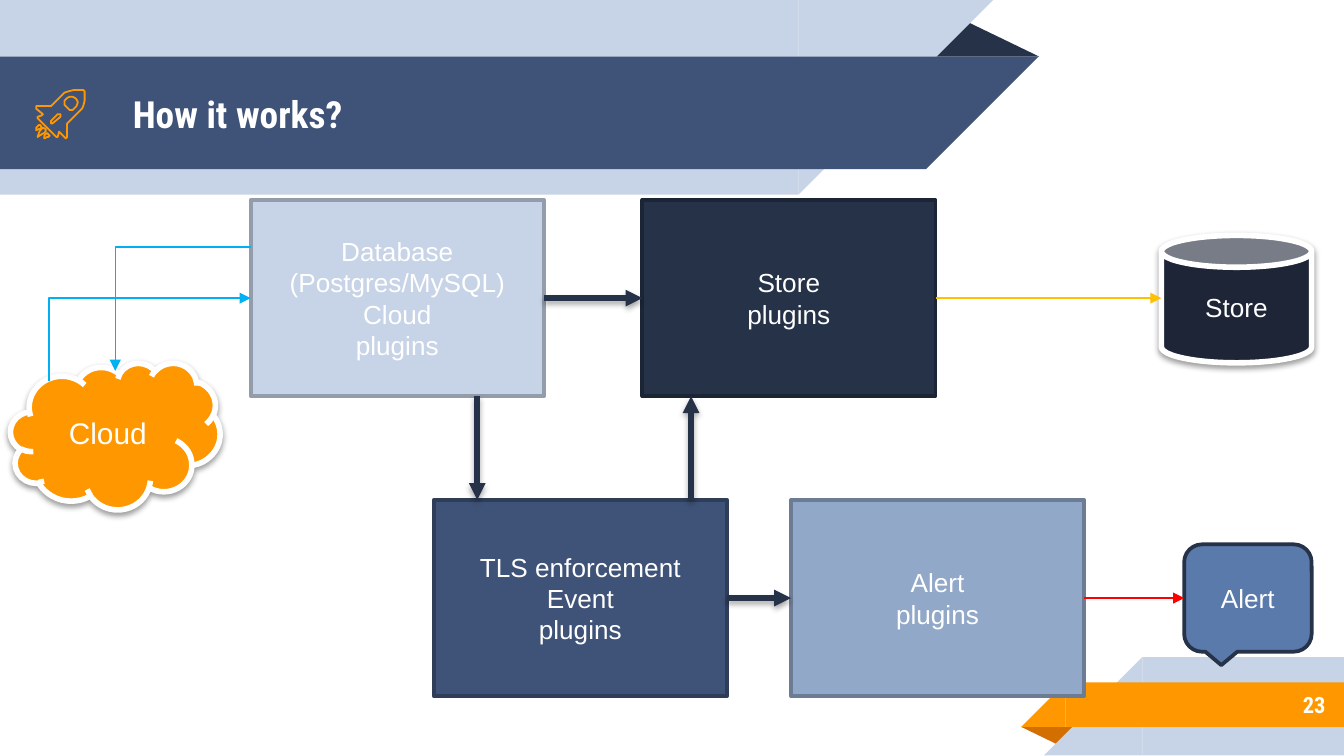
"""Build the "How it works?" plugin flow slide."""
from dataclasses import dataclass

from lxml import etree
from pptx import Presentation
from pptx.dml.color import RGBColor
from pptx.enum.shapes import MSO_CONNECTOR, MSO_SHAPE
from pptx.enum.text import MSO_ANCHOR, PP_ALIGN
from pptx.oxml.ns import qn
from pptx.util import Cm, Pt

RECTANGLE = MSO_SHAPE.RECTANGLE
CORNER = MSO_SHAPE.RIGHT_TRIANGLE
TRIANGLE = MSO_SHAPE.ISOSCELES_TRIANGLE
CLOUD = MSO_SHAPE.CLOUD
CAN = MSO_SHAPE.CAN
CALLOUT = MSO_SHAPE.ROUNDED_RECTANGULAR_CALLOUT
STRAIGHT = MSO_CONNECTOR.STRAIGHT
ELBOW = MSO_CONNECTOR.ELBOW
MIDDLE = MSO_ANCHOR.MIDDLE
LEFT, CENTER, RIGHT = PP_ALIGN.LEFT, PP_ALIGN.CENTER, PP_ALIGN.RIGHT
LEFT_SIDE, RIGHT_SIDE = 1, 3


@dataclass(frozen=True)
class Theme:
    """Colours, fonts and type sizes of the slide."""
    white: str = "FFFFFF"
    pale: str = "C7D3E6"
    pale_edge: str = "939CAA"
    mist: str = "92A8C8"
    mist_edge: str = "6C7C94"
    blue: str = "597AAB"
    navy: str = "3F5378"
    navy_edge: str = "2F3D59"
    dark: str = "263248"
    dark_edge: str = "1C2535"
    ink: str = "1D2536"
    orange: str = "FF9800"
    rust: str = "D26F00"
    sky: str = "00B0F0"
    gold: str = "FFC000"
    red: str = "FF0000"
    black: str = "000000"
    heading_font: str = "Roboto Condensed"
    body_font: str = "Arial"
    title_size: int = 20
    cloud_size: int = 16
    body_size: int = 14
    number_size: int = 12


THEME = Theme()
BOX_WIDTH, BOX_HEIGHT = 5.54, 3.71
TOP_ROW, BOTTOM_ROW = 3.78, 9.45
ICON_UNIT = Cm(2.54) / 100
ROCKET = [
    [(50, 102), (50, 92), (61, 81), (62, 79), (63, 75), (63, 68), (62, 67),
     (55, 67), (51, 68), (48, 69), (38, 79), (27, 79), (27, 81), (32, 85),
     (31, 86), (28, 87), (28, 88), (42, 102), (43, 102), (44, 98), (49, 103)],
    [(39, 92), (38, 92), (38, 90), (43, 85), (45, 85), (45, 87)],
    [(54, 82), (52, 82), (48, 78), (48, 75), (50, 73), (52, 72), (54, 72),
     (56, 73), (57, 74), (58, 76), (57, 79)],
]
FLAMES = [
    [(34, 96), (32, 95), (31, 96), (30, 97), (29, 99), (28, 102), (31, 100),
     (33, 99), (34, 98)],
    [(36, 100), (35, 99), (34, 100), (33, 101), (33, 103), (35, 102),
     (36, 102), (37, 101)],
    [(30, 93), (29, 93), (28, 94), (27, 95), (27, 97), (29, 96), (30, 96),
     (31, 95)],
]


def apply_format(target, values):
    """Set each named attribute on the target."""
    for name, value in values.items():
        setattr(target, name, value)


def paint(fill, color):
    """Give a fill one solid colour."""
    fill.solid()
    fill.fore_color.rgb = RGBColor.from_string(color)


def draw_line(line, color, width):
    """Give a line its colour and its width in points."""
    paint(line.fill, color)
    line.width = Pt(width)


def add_shadow(effects, opacity, distance):
    """Add a soft downward shadow to an effect list."""
    shadow = etree.SubElement(effects, qn("a:outerShdw"), blurRad="40000", dist=str(distance),
                              dir="5400000", rotWithShape="0")
    color = etree.SubElement(shadow, qn("a:srgbClr"), val=THEME.black)
    etree.SubElement(color, qn("a:alpha"), val=str(opacity * 1000))


def write_text(shape, lines, size, alignment=CENTER, font=THEME.body_font, bold=False):
    """Write white paragraphs, vertically centred, into a shape."""
    frame = shape.text_frame
    apply_format(frame, {"word_wrap": True, "vertical_anchor": MIDDLE})
    frame.text = "\n".join(lines)
    for paragraph in frame.paragraphs:
        paragraph.alignment = alignment
        apply_format(paragraph.font, {"name": font, "size": Pt(size), "bold": bold})
        paragraph.font.color.rgb = RGBColor.from_string(THEME.white)


def add_heading(slide, bounds, text, size, alignment):
    """Add a bold text box in the heading font."""
    box = slide.shapes.add_textbox(*map(Cm, bounds))
    write_text(box, [text], size, alignment, THEME.heading_font, True)


def add_figure(slide, kind, bounds, color, edge=None, width=2):
    """Add a filled preset shape, outlined when an edge colour is given."""
    shape = slide.shapes.add_shape(kind, *map(Cm, bounds))
    shape.shadow.inherit = False
    paint(shape.fill, color)
    if edge:
        draw_line(shape.line, edge, width)
    else:
        shape.line.fill.background()
    return shape


def add_fold(slide, bounds, color, rotation):
    """Add the triangular fold behind a ribbon."""
    fold = add_figure(slide, TRIANGLE, bounds, color)
    fold.adjustments[0] = 0.32
    fold.rotation = rotation


def add_ribbon(slide, bounds, color, slant_right):
    """Add a band with a slanted right or left end."""
    left, top, width, height = bounds
    add_figure(slide, RECTANGLE, bounds, color)
    corner_left = left + width if slant_right else left - height
    corner = add_figure(slide, CORNER, (corner_left, top, height, height), color)
    corner.rotation = 90 if slant_right else 270


def add_plugin(slide, left, top, lines, color, edge):
    """Add one plugin box."""
    box = add_figure(slide, RECTANGLE, (left, top, BOX_WIDTH, BOX_HEIGHT), color, edge)
    write_text(box, lines, THEME.body_size)
    return box


def add_endpoint(slide, kind, bounds, text, color, size):
    """Add a white-edged shape with a shadow."""
    shape = add_figure(slide, kind, bounds, color, THEME.white, 3)
    add_shadow(shape._element.spPr.find(qn("a:effectLst")), 38, 20000)
    write_text(shape, [text], size)


def add_arrow(slide, points, color, width=0.75, kind=STRAIGHT, end="tailEnd",
              source=None, target=None):
    """Add an arrow, joined to boxes at its right and left ends if given."""
    arrow = slide.shapes.add_connector(kind, *map(Cm, points))
    if source:
        arrow.begin_connect(source, RIGHT_SIDE)
    if target:
        arrow.end_connect(target, LEFT_SIDE)
    draw_line(arrow.line, color, width)
    properties = arrow._element.spPr
    if kind == ELBOW:
        properties.find(qn("a:prstGeom")).set("prst", "bentConnector2")
    etree.SubElement(properties.find(qn("a:ln")), qn("a:" + end), type="triangle")
    effects = etree.SubElement(properties, qn("a:effectLst"))
    if width > 1:
        add_shadow(effects, 35, 23000)


def add_outline(slide, contours):
    """Add an unfilled orange outline made of closed contours."""
    first, *others = contours
    builder = slide.shapes.build_freeform(*first[0], scale=ICON_UNIT)
    builder.add_line_segments(first[1:], close=True)
    for contour in others:
        builder.move_to(*contour[0])
        builder.add_line_segments(contour[1:], close=True)
    shape = builder.convert_to_shape()
    shape.shadow.inherit = False
    shape.fill.background()
    draw_line(shape.line, THEME.orange, 0.96)


def add_flow(slide):
    """Add the plugin boxes, their endpoints and the arrows."""
    database = add_plugin(slide, 4.74, TOP_ROW, ["Database (Postgres/MySQL) Cloud", "plugins"],
                          THEME.pale, THEME.pale_edge)
    store = add_plugin(slide, 12.14, TOP_ROW, ["Store", "plugins"], THEME.dark, THEME.dark_edge)
    event = add_plugin(slide, 8.2, BOTTOM_ROW, ["TLS enforcement Event", "plugins"],
                       THEME.navy, THEME.navy_edge)
    alert = add_plugin(slide, 14.95, BOTTOM_ROW, ["Alert", "plugins"], THEME.mist, THEME.mist_edge)
    top_bottom = TOP_ROW + BOX_HEIGHT
    middle = TOP_ROW + BOX_HEIGHT / 2
    unplaced = (0, 0, 0, 0)
    add_arrow(slide, unplaced, THEME.dark, 3, source=database, target=store)
    add_arrow(slide, (9.02, top_bottom, 9.02, BOTTOM_ROW), THEME.dark, 3)
    add_arrow(slide, (13.06, BOTTOM_ROW, 13.06, top_bottom), THEME.dark, 3)
    add_arrow(slide, unplaced, THEME.dark, 3, source=event, target=alert)
    add_endpoint(slide, CLOUD, (0.2, 6.86, 3.96, 2.77), "Cloud", THEME.orange, THEME.cloud_size)
    add_endpoint(slide, CAN, (21.95, 4.45, 2.84, 2.41), "Store", THEME.ink, THEME.body_size)
    add_arrow(slide, (4.74, 4.67, 2.18, 7.01), THEME.sky, kind=ELBOW)
    add_arrow(slide, (4.74, middle, 0.93, 7.21), THEME.sky, kind=ELBOW, end="headEnd")
    add_arrow(slide, (17.68, middle, 21.95, middle), THEME.gold, source=store)
    callout = add_figure(slide, CALLOUT, (22.38, 10.29, 2.41, 2.03), THEME.blue, THEME.dark)
    write_text(callout, ["Alert"], THEME.body_size)
    add_arrow(slide, unplaced, THEME.red, source=alert, target=callout)


def main():
    """Build and save the presentation."""
    presentation = Presentation()
    apply_format(presentation, {"slide_width": Cm(25.4), "slide_height": Cm(14.29)})
    slide = presentation.slides.add_slide(presentation.slide_layouts[6])
    add_fold(slide, (17.48, 0.36, 2.16, 0.71), THEME.dark, 0)
    add_ribbon(slide, (0, 0, 15.09, 3.68), THEME.pale, True)
    add_ribbon(slide, (0, 1.07, 17.5, 2.13), THEME.navy, True)
    add_fold(slide, (19.3, 13.74, 1.09, 0.36), THEME.rust, 180)
    add_ribbon(slide, (21.59, 12.42, 3.81, 1.86), THEME.pale, False)
    add_ribbon(slide, (20.14, 12.9, 5.26, 0.84), THEME.orange, False)
    add_heading(slide, (2.26, 1.09, 14.6, 2.13), "How it works?", THEME.title_size, LEFT)
    add_heading(slide, (21.16, 12.88, 4.14, 0.89), "23", THEME.number_size, RIGHT)
    add_flow(slide)
    for contours in [ROCKET, *([flame] for flame in FLAMES)]:
        add_outline(slide, contours)
    presentation.save("out.pptx")


if __name__ == "__main__":
    main()
